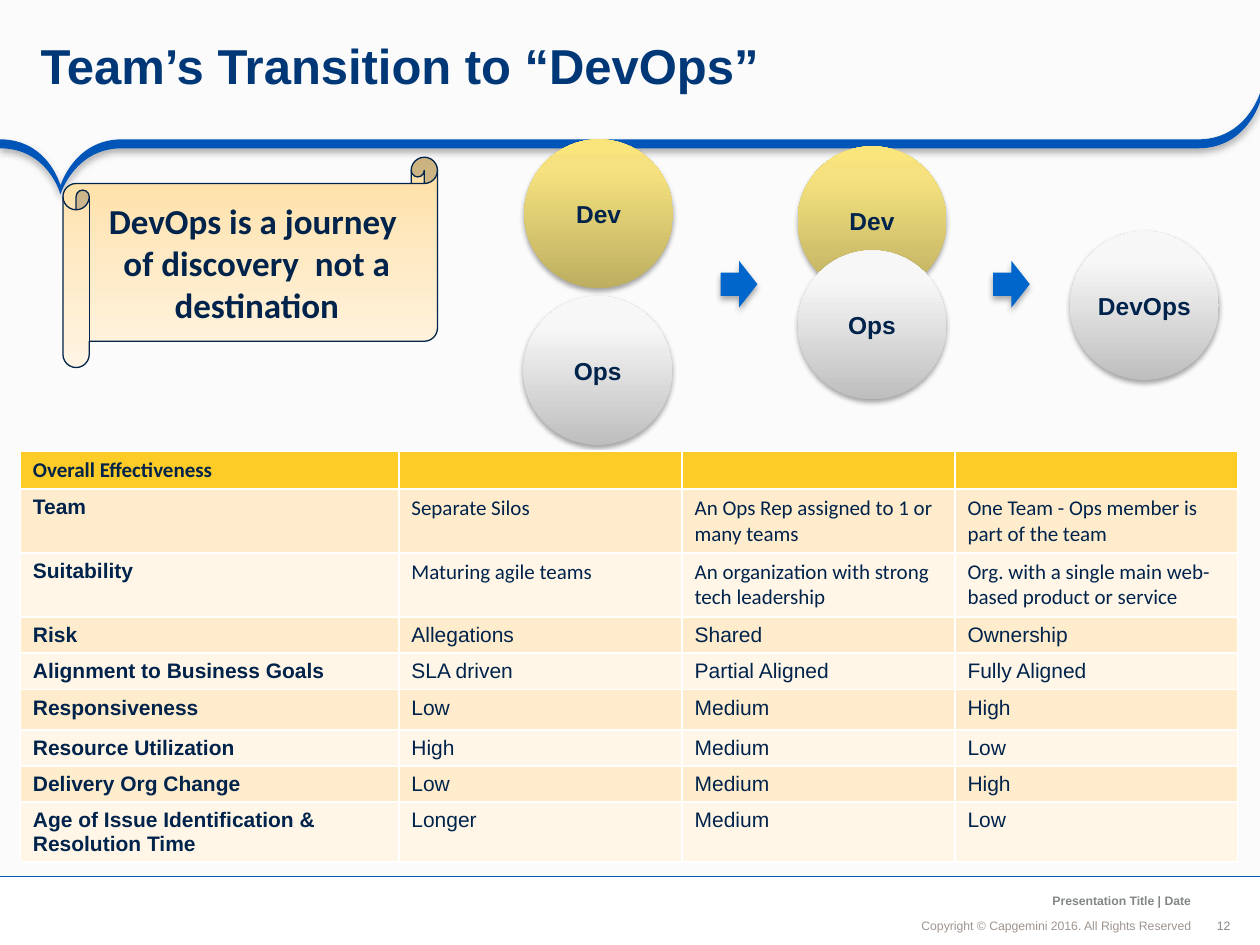
from lxml.etree import SubElement
from pptx import Presentation
from pptx.dml.color import RGBColor
from pptx.enum.shapes import MSO_CONNECTOR as Link, MSO_SHAPE as Kind
from pptx.enum.text import MSO_ANCHOR as Anchor, PP_ALIGN as Align
from pptx.oxml import parse_xml
from pptx.oxml.ns import nsdecls, qn
from pptx.util import Cm, Pt

HUE = dict(navy="00234B", title="003776", band="0056B8", arrow="0066CC", veil="F2F2F2",
           grey="838788", stone="9F958F", gold="FECC26", dark="FFECCD", light="FFF6E8",
           white="FFFFFF", black="000000")
FADE = {
    "scroll": (90, [(0, "FFDFA1"), (50, "FFEAC6"), (100, "FFF4E3")]),
    "dev": (270, [(0, "BDAE61"), (80, "F5E27E"), (100, "F9E57C")]),
    "ops": (270, [(0, "BEBEBE"), (80, "F7F7F7"), (100, "F8F8F8")]),
}
TITLE = "Team’s Transition to “DevOps”"
MOTTO = "DevOps is a journey  of discovery  not a destination"
BALLS = [("Dev", "dev", 10.57, 2.81), ("Ops", "ops", 10.55, 5.97), ("Dev", "dev", 16.08, 2.95),
         ("Ops", "ops", 16.08, 5.05), ("DevOps", "ops", 21.57, 4.66)]
ARROWS = [14.53, 20.02]
FOOT = [
    ("12", (24.52, 18.51, 0.3, 0.3), Align.CENTER, Anchor.MIDDLE, 0, "grey", False),
    ("Copyright © Capgemini 2016. All Rights Reserved", (17.28, 18.39, 6.83, 0.51),
     Align.RIGHT, Anchor.BOTTOM, 0.1, "stone", False),
    ("Presentation Title | Date", (19.21, 17.87, 4.9, 0.53),
     Align.RIGHT, Anchor.BOTTOM, 0.1, "grey", True),
]
COLS = [7.63, 5.71, 5.5, 5.7]
ROWS = [
    (0.56, "Overall Effectiveness", "", "", ""),
    (1.04, "Team", "Separate Silos", "An Ops Rep assigned to 1 or many teams",
     "One Team - Ops member is part of the team"),
    (1.04, "Suitability", "Maturing agile teams", "An organization with strong tech leadership",
     "Org. with a single main web-based product or service"),
    (0.66, "Risk", "Allegations", "Shared", "Ownership"),
    (0.74, "Alignment to Business Goals", "SLA driven", "Partial Aligned", "Fully Aligned"),
    (0.81, "Responsiveness", "Low", "Medium", "High"),
    (0.64, "Resource Utilization", "High", "Medium", "Low"),
    (0.71, "Delivery Org Change", "Low", "Medium", "High"),
    (0.71, "Age of Issue Identification & Resolution Time", "Longer", "Medium", "Low"),
]
THICK = 0.18
EDGE = [(0, 2.99), (0.97, 2.99), (1.22, 3.92), (1.22, 3.92),
        (1.22, 3.92), (1.5, 2.99), (2.46, 2.99),
        (2.46, 2.99), (24.16, 2.99), (24.16, 2.99),
        (25.12, 2.99), (25.4, 2.06), (25.4, 2.06)]


def rgb(name):
    """Return a named colour."""
    return RGBColor.from_string(HUE[name])


def write(frame, text, size, hue, bold=True, face="Arial", align=Align.LEFT):
    """Add one styled run to the first paragraph."""
    para = frame.paragraphs[0]
    para.alignment = align
    run = para.add_run()
    run.text = text
    font = run.font
    font.name, font.size, font.bold = face, Pt(size), bold
    font.color.rgb = rgb(hue)
    return para


def inset(frame, left, top, right, low):
    """Set the four text margins."""
    frame.margin_left, frame.margin_top = Cm(left), Cm(top)
    frame.margin_right, frame.margin_bottom = Cm(right), Cm(low)


def paint(shape, hue):
    """Fill a shape plainly, with no outline or shadow."""
    shape.shadow.inherit = False
    shape.fill.solid()
    shape.fill.fore_color.rgb = rgb(hue)
    shape.line.fill.background()


def blend(shape, name):
    """Fill a shape with a linear gradient."""
    angle, stops = FADE[name]
    marks = "".join(f'<a:gs pos="{pos * 1000}"><a:srgbClr val="{hue}"/></a:gs>' for pos, hue in stops)
    props = shape._element.spPr
    props.replace(props.find(qn("a:solidFill")), parse_xml(
        f'<a:gradFill {nsdecls("a")} rotWithShape="1"><a:gsLst>{marks}</a:gsLst>'
        f'<a:lin ang="{angle * 60000}" scaled="0"/></a:gradFill>'))


def shade(shape, alpha, blur, drop):
    """Drop a soft shadow below a shape."""
    soft = SubElement(shape._element.spPr.find(qn("a:effectLst")), qn("a:outerShdw"),
                      blurRad=str(Pt(blur)), dist=str(Pt(drop)), dir="5400000", rotWithShape="0")
    tint = SubElement(soft, qn("a:srgbClr"), val=HUE["black"])
    SubElement(tint, qn("a:alpha"), val=str(alpha * 1000))


def bend(shape):
    """Turn each three line segments into one cubic curve."""
    lines = list(shape._element.iter(qn("a:lnTo")))
    for start in range(0, len(lines), 3):
        group = lines[start:start + 3]
        cubic = parse_xml(f'<a:cubicBezTo {nsdecls("a")}/>')
        group[0].addprevious(cubic)
        for line in group:
            cubic.append(line[0])
            line.getparent().remove(line)


def add(shapes, kind, left, top, wide, high, hue):
    """Add a plain preset shape."""
    shape = shapes.add_shape(kind, Cm(left), Cm(top), Cm(wide), Cm(high))
    paint(shape, hue)
    return shape


def frame_page(shapes):
    """Draw footer, veil and band."""
    for text, box, align, anchor, gap, hue, bold in FOOT:
        frame = shapes.add_textbox(*map(Cm, box)).text_frame
        frame.word_wrap = text.startswith("Copyright")
        frame.vertical_anchor = anchor
        inset(frame, gap, gap, gap, gap)
        write(frame, text, 7, hue, bold, align=align)
    rule = shapes.add_connector(Link.STRAIGHT, Cm(25.4), Cm(17.67), Cm(0), Cm(17.67))
    rule.line.color.rgb, rule.line.width = rgb("band"), Pt(0.75)
    SubElement(rule._element.spPr, qn("a:effectLst"))
    veil = add(shapes, Kind.RECTANGLE, 0, 0, 25.4, 17.66, "veil")
    tint = veil._element.spPr.find(qn("a:solidFill"))[0]
    SubElement(tint, qn("a:alpha"), val="30000")
    upper = [(x, y - THICK) for x, y in reversed(EDGE)]
    ring = EDGE + [upper[0]] * 3 + upper[1:]
    ring = [(x * 1000, y * 1000) for x, y in ring]
    pen = shapes.build_freeform(*ring[0], scale=Cm(1) / 1000)
    pen.add_line_segments(ring[1:], close=True)
    band = pen.convert_to_shape()
    bend(band)
    paint(band, "band")
    shade(band, 31, 4, 2)


def head(shapes):
    """Place the title above the veil."""
    title = shapes.title
    shapes._spTree.append(title._element)
    title.left, title.top, title.width, title.height = map(Cm, (0, 0, 25.4, 2.8))
    frame = title.text_frame
    frame.word_wrap, frame.vertical_anchor = True, Anchor.MIDDLE
    inset(frame, 0.82, 0.1, 0.46, 0.1)
    write(frame, TITLE, 28, "title").line_spacing = 0.85


def draw(shapes):
    """Draw the scroll, circles and arrows."""
    scroll = add(shapes, Kind.HORIZONTAL_SCROLL, 1.27, 3.17, 7.55, 4.24, "light")
    blend(scroll, "scroll")
    scroll.line.color.rgb, scroll.line.width = rgb("navy"), Pt(0.75)
    write(scroll.text_frame, MOTTO, 20, "navy", face="Calibri", align=Align.CENTER)
    for text, fade, left, top in BALLS:
        ball = add(shapes, Kind.OVAL, left, top, 3, 3, "light")
        blend(ball, fade)
        shade(ball, 35, 3.1, 1.8)
        inset(ball.text_frame, 0, 0.13, 0, 0.13)
        write(ball.text_frame, text, 14, "navy", align=Align.CENTER)
    for left in ARROWS:
        shade(add(shapes, Kind.RIGHT_ARROW, left, 5.26, 0.74, 0.94, "arrow"), 32, 3.5, 2.2)


def border(cell):
    """Rule a cell in white."""
    props = cell._tc.get_or_add_tcPr()
    for spot, side in enumerate("LRTB"):
        props.insert(spot, parse_xml(
            f'<a:ln{side} {nsdecls("a")} w="{Pt(1)}"><a:solidFill>'
            f'<a:srgbClr val="{HUE["white"]}"/></a:solidFill></a:ln{side}>'))


def fill_table(shapes):
    """Build the comparison table."""
    box = shapes.add_table(len(ROWS), len(COLS), Cm(0.41), Cm(9.09), Cm(sum(COLS)), Cm(8.43))
    grid = box.table
    for col, wide in zip(grid.columns, COLS):
        col.width = Cm(wide)
    for r, (tall, *texts) in enumerate(ROWS):
        grid.rows[r].height = Cm(tall)
        for c, text in enumerate(texts):
            cell = grid.cell(r, c)
            cell.fill.solid()
            cell.fill.fore_color.rgb = rgb("gold" if r == 0 else "dark" if r % 2 else "light")
            border(cell)
            face = "Calibri" if r == 0 or (r < 3 and c) else "Arial"
            if text:
                write(cell.text_frame, text, 12, "navy", c == 0, face)
            else:
                SubElement(cell.text_frame.paragraphs[0]._p, qn("a:endParaRPr"), sz="1200")
    box.height = Cm(8.43)


def main():
    """Build and save the slide."""
    deck = Presentation()
    deck.slide_width, deck.slide_height = Cm(25.4), Cm(19.05)
    shapes = deck.slides.add_slide(deck.slide_layouts[5]).shapes
    for step in (frame_page, head, draw, fill_table):
        step(shapes)
    deck.save("out.pptx")


if __name__ == "__main__":
    main()
